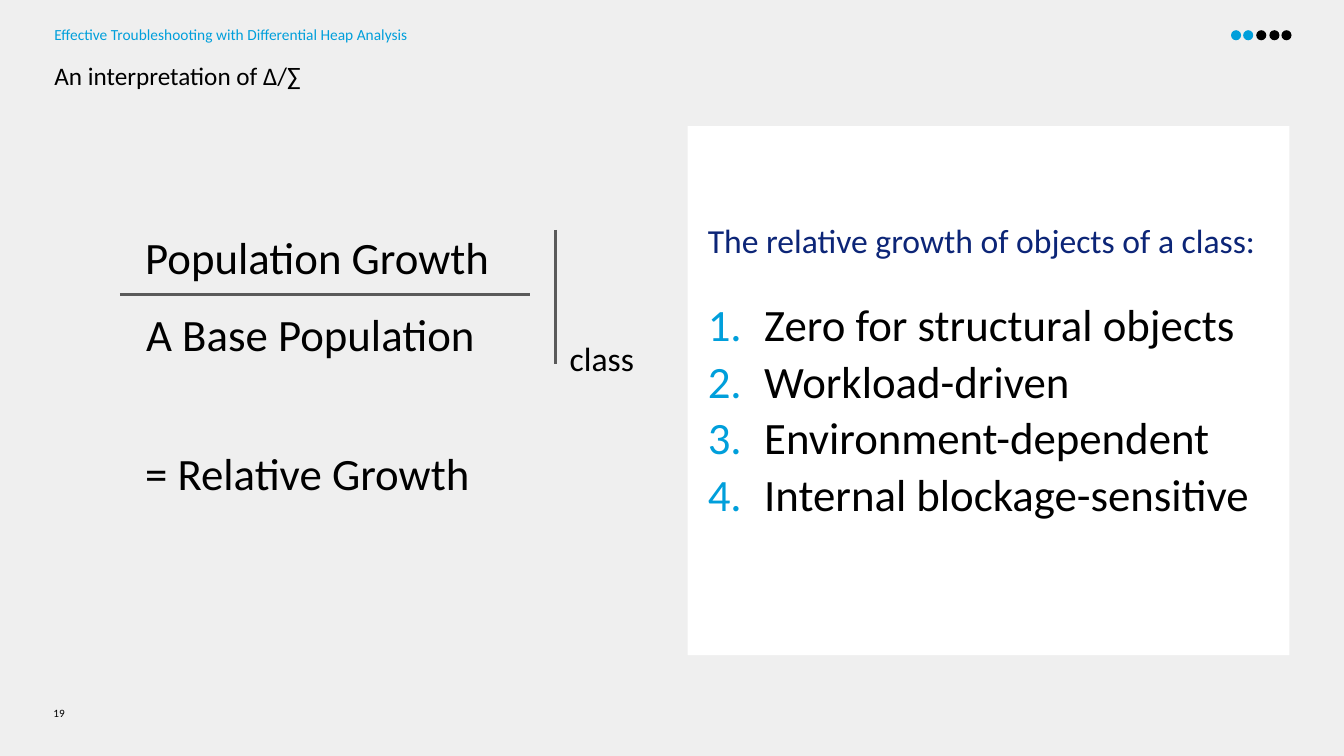
"""Build the slide that interprets relative heap growth."""
from dataclasses import dataclass

from lxml import etree
from pptx import Presentation
from pptx.dml.color import RGBColor
from pptx.enum.shapes import MSO_CONNECTOR, MSO_SHAPE
from pptx.oxml.ns import qn
from pptx.util import Pt

RECTANGLE = MSO_SHAPE.RECTANGLE
OVAL = MSO_SHAPE.OVAL
STRAIGHT = MSO_CONNECTOR.STRAIGHT

EMU_PER_PX = 9144
FONT = "Calibri"
BLACK = "000000"
WHITE = "FFFFFF"
BLUE = "009FDB"
NAVY = "0C2577"
GRAY = "5A5A5A"
BACKGROUND = "EFEFEF"
NUMBER_INDENT = 56


@dataclass(frozen=True)
class Line:
    """A straight rule between two points."""
    x1: int
    y1: int
    x2: int
    y2: int


@dataclass(frozen=True)
class TextStyle:
    """The look of one paragraph."""
    size: int
    color: str = BLACK
    spacing: float | Pt | None = None
    after: float = 0
    numbered: bool = False


@dataclass(frozen=True)
class Label:
    """A single-paragraph text box."""
    text: str
    left: int
    top: int
    width: int
    height: int
    style: TextStyle


FORMULA = TextStyle(32)
HEADING = TextStyle(24, NAVY, spacing=0.9, after=29.6)
ITEM = TextStyle(32, spacing=0.9, after=6, numbered=True)

LABELS = [
    Label("Effective Troubleshooting with Differential Heap Analysis",
          54, 25, 1226, 20, TextStyle(11, BLUE)),
    Label("An interpretation of ∆/∑", 54, 57, 1226, 37,
          TextStyle(18, spacing=1.1, after=10)),
    Label("Population Growth", 144, 228, 366, 44, FORMULA),
    Label("A Base Population", 145, 304, 337, 44, FORMULA),
    Label("class", 565, 335, 119, 32, TextStyle(24)),
    Label("= Relative Growth", 144, 442, 366, 44, FORMULA),
    Label("19", 53, 700, 32, 25, TextStyle(8, spacing=Pt(10))),
]
LINES = [Line(119, 292, 526, 292), Line(551, 228, 551, 361)]
PANEL_TEXT = [
    ("The relative growth of objects of a class:", HEADING),
    ("Zero for structural objects", ITEM),
    ("Workload-driven", ITEM),
    ("Environment-dependent", ITEM),
    ("Internal blockage-sensitive", ITEM),
]
DOT_COLORS = [BLUE, BLUE, BLACK, BLACK, BLACK]
DOT_LEFT, DOT_TOP, DOT_SIZE, DOT_SPAN = 1221, 30, 10, 50


def px(value: int) -> int:
    """Turn px into EMU."""
    return value * EMU_PER_PX


def rgb(color: str) -> RGBColor:
    """Turn a hex string into a colour."""
    return RGBColor.from_string(color)


def number_paragraph(paragraph) -> None:
    """Give a paragraph a blue automatic number with a hanging indent."""
    properties = paragraph._p.get_or_add_pPr()
    properties.set("marL", str(px(NUMBER_INDENT)))
    properties.set("indent", str(-px(NUMBER_INDENT)))
    bullet_color = etree.SubElement(properties, qn("a:buClr"))
    etree.SubElement(bullet_color, qn("a:srgbClr"), val=BLUE)
    etree.SubElement(properties, qn("a:buFont"), typeface=FONT)
    etree.SubElement(properties, qn("a:buAutoNum"), type="arabicPeriod")


def write_paragraph(paragraph, text: str, style: TextStyle) -> None:
    """Fill and style one paragraph."""
    paragraph.text = text
    paragraph.line_spacing = style.spacing
    paragraph.space_after = Pt(style.after)
    if style.numbered:
        number_paragraph(paragraph)
    paragraph.font.name = FONT
    paragraph.font.size = Pt(style.size)
    paragraph.font.color.rgb = rgb(style.color)


def prepare_frame(shape, left: int = 0, top: int = 0):
    """Return the wrapping text frame of a shape with its insets set."""
    frame = shape.text_frame
    frame.word_wrap = True
    frame.margin_left, frame.margin_top = px(left), px(top)
    frame.margin_right = frame.margin_bottom = 0
    return frame


def add_label(slide, label: Label) -> None:
    """Add a text box."""
    box = slide.shapes.add_textbox(
        px(label.left), px(label.top), px(label.width), px(label.height))
    write_paragraph(prepare_frame(box).paragraphs[0], label.text, label.style)


def add_filled_shape(slide, kind: MSO_SHAPE, left: int, top: int,
                     width: int, height: int, color: str):
    """Add a flat shape without an outline."""
    shape = slide.shapes.add_shape(
        kind, px(left), px(top), px(width), px(height))
    shape.shadow.inherit = False
    shape.fill.solid()
    shape.fill.fore_color.rgb = rgb(color)
    shape.line.fill.background()
    return shape


def add_line(slide, line: Line) -> None:
    """Add a gray rule."""
    connector = slide.shapes.add_connector(
        STRAIGHT, px(line.x1), px(line.y1), px(line.x2), px(line.y2))
    connector.line.color.rgb = rgb(GRAY)
    connector.line.width = Pt(2)
    etree.SubElement(connector._element.spPr, qn("a:effectLst"))


def add_panel(slide) -> None:
    """Add the white panel with its heading and numbered list."""
    panel = add_filled_shape(slide, RECTANGLE, 682, 125, 597, 525, WHITE)
    frame = prepare_frame(panel, left=20, top=98)
    frame.vertical_anchor = MSO_ANCHOR_TOP
    for index, (text, style) in enumerate(PANEL_TEXT):
        paragraph = frame.add_paragraph() if index else frame.paragraphs[0]
        paragraph.alignment = ALIGN_LEFT
        write_paragraph(paragraph, text, style)


def add_progress_dots(slide) -> None:
    """Add the evenly spaced progress dots."""
    for index, color in enumerate(DOT_COLORS):
        left = DOT_LEFT + round(index * DOT_SPAN / (len(DOT_COLORS) - 1))
        add_filled_shape(slide, OVAL, left, DOT_TOP, DOT_SIZE, DOT_SIZE, color)


def main() -> None:
    """Build and save the presentation."""
    presentation = Presentation()
    presentation.slide_width = px(1333)
    presentation.slide_height = px(750)
    slide = presentation.slides.add_slide(presentation.slide_layouts[6])
    slide.background.fill.solid()
    slide.background.fill.fore_color.rgb = rgb(BACKGROUND)
    add_panel(slide)
    add_progress_dots(slide)
    for line in LINES:
        add_line(slide, line)
    for label in LABELS:
        add_label(slide, label)
    presentation.save("out.pptx")


from pptx.enum.text import MSO_ANCHOR, PP_ALIGN

MSO_ANCHOR_TOP = MSO_ANCHOR.TOP
ALIGN_LEFT = PP_ALIGN.LEFT

if __name__ == "__main__":
    main()
